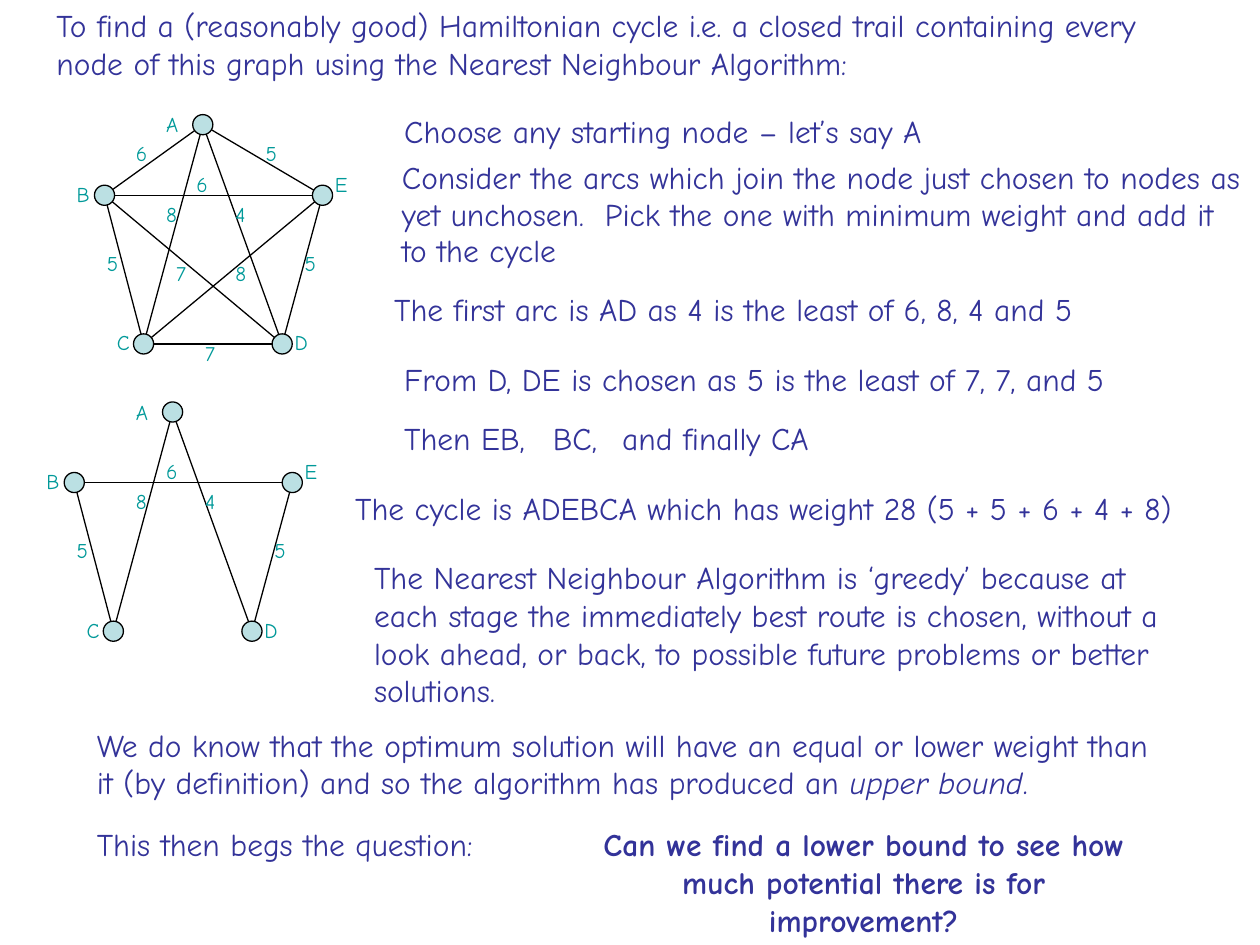
"""Build a slide that finds a Hamiltonian cycle with the Nearest Neighbour Algorithm."""
from pptx import Presentation
from pptx.dml.color import RGBColor
from pptx.enum.shapes import MSO_CONNECTOR, MSO_SHAPE
from pptx.enum.text import MSO_AUTO_SIZE, PP_ALIGN
from pptx.oxml.ns import qn
from pptx.util import Pt
from lxml.etree import SubElement

PX = 9144
FONT = "Comic Neue"
BLACK = RGBColor(0x00, 0x00, 0x00)
INDIGO = RGBColor(0x33, 0x33, 0x99)
TEAL = RGBColor(0x00, 0x99, 0x99)
PALE_BLUE = RGBColor(0xBB, 0xE0, 0xE3)
NODE_SIZE = 16

NODES = {
    "A": (161, 99, 122, 84, 26),
    "B": (83, 155, 51, 139, 31),
    "C": (114, 273, 83, 257, 26),
    "D": (224, 273, 224, 257, 26),
    "E": (256, 155, 256, 131, 26),
}
ARCS = {
    "AB": (6, 98, 107),
    "AC": (8, 122, 155),
    "AD": (4, 177, 155),
    "AE": (5, 201, 107),
    "BC": (5, 75, 194),
    "BD": (7, 130, 202),
    "BE": (6, 146, 131),
    "CD": (7, 153, 265),
    "CE": (8, 177, 202),
    "DE": (5, 232, 194),
}
GRAPHS = [
    (0, 0, list(ARCS)),
    (-24, 228, ["AD", "DE", "BE", "BC", "AC"]),
]
STATEMENTS = [
    ("To find a (reasonably good) Hamiltonian cycle i.e. a closed trail containing every "
     "node of this graph using the Nearest Neighbour Algorithm:", 35, 0, 937, 70),
    ("Choose any starting node – let’s say A", 311, 84, 496, 40),
    ("The first arc is AD as 4 is the least of 6, 8, 4 and 5", 303, 225, 665, 40),
    ("From D, DE is chosen as 5 is the least of 7, 7, and 5", 311, 281, 665, 40),
    ("Then EB,", 311, 328, 134, 40),
    ("BC,", 429, 328, 63, 40),
    ("and finally CA", 484, 328, 220, 40),
    ("The cycle is ADEBCA which has weight 28 (5 + 5 + 6 + 4 + 8)", 272, 383, 728, 40),
    ("The Nearest Neighbour Algorithm is ‘greedy’ because at each stage the immediately "
     "best route is chosen, without a look ahead, or back, to possible future problems or "
     "better solutions.", 287, 438, 661, 130),
    ("This then begs the question:", 67, 650, 874, 40),
]
TABLES = [
    ("Consider the arcs which join the node just chosen to nodes as yet unchosen.  Pick "
     "the one with minimum weight and add it to the cycle", 309, 123, 691, 100),
    ("", 776, 84, 183, 40),
]


def write(frame, text, size=18, color=INDIGO, bold=False, italic=False,
          align=PP_ALIGN.LEFT, before=11.2):
    paragraph = frame.paragraphs[0]
    paragraph.alignment = align
    paragraph.space_before = Pt(before)
    run = paragraph.add_run()
    run.text = text
    run.font.name = FONT
    run.font.size = Pt(size)
    run.font.color.rgb = color
    run.font.bold = bold
    run.font.italic = italic


def add_frame(left, top, width, height):
    box = slide.shapes.add_textbox(left * PX, top * PX, width * PX, height * PX)
    box.text_frame.word_wrap = True
    box.text_frame.auto_size = MSO_AUTO_SIZE.SHAPE_TO_FIT_TEXT
    return box.text_frame


presentation = Presentation()
presentation.slide_width = 1000 * PX
presentation.slide_height = 750 * PX
slide = presentation.slides.add_slide(presentation.slide_layouts[6])

for dx, dy, arc_names in GRAPHS:
    for start, end in arc_names:
        x1, y1 = NODES[start][:2]
        x2, y2 = NODES[end][:2]
        line = slide.shapes.add_connector(
            MSO_CONNECTOR.STRAIGHT,
            (x1 + dx) * PX, (y1 + dy) * PX, (x2 + dx) * PX, (y2 + dy) * PX)
        line.line.color.rgb = BLACK
        line.line.width = Pt(0.75)
        SubElement(line._element.spPr, qn("a:effectLst"))

    for name, (x, y, label_x, label_y, label_width) in NODES.items():
        node = slide.shapes.add_shape(
            MSO_SHAPE.OVAL, (x + dx - NODE_SIZE // 2) * PX, (y + dy - NODE_SIZE // 2) * PX,
            NODE_SIZE * PX, NODE_SIZE * PX)
        node.shadow.inherit = False
        node.fill.solid()
        node.fill.fore_color.rgb = PALE_BLUE
        node.line.color.rgb = BLACK
        node.line.width = Pt(0.75)
        frame = add_frame(label_x + dx, label_y + dy, label_width, 30)
        write(frame, name, size=12, color=TEAL, before=7.5)

    for arc_name in arc_names:
        weight, x, y = ARCS[arc_name]
        frame = add_frame(x + dx, y + dy, 26, 30)
        write(frame, str(weight), size=12, color=TEAL, before=7.5)

for text, *bounds in STATEMENTS:
    write(add_frame(*bounds), text)

bound_frame = add_frame(67, 571, 874, 70)
write(bound_frame, "We do know that the optimum solution will have an equal or lower weight than "
      "it (by definition) and so the algorithm has produced an ")
write(bound_frame, "upper bound", italic=True)
write(bound_frame, ".")

write(add_frame(453, 650, 465, 100),
      "Can we find a lower bound to see how much potential there is for improvement?",
      bold=True, align=PP_ALIGN.CENTER)

for text, *bounds in TABLES:
    table = slide.shapes.add_table(1, 1, *[length * PX for length in bounds]).table
    table.first_row = False
    table.horz_banding = False
    cell = table.cell(0, 0)
    cell.fill.background()
    if text:
        write(cell.text_frame, text, before=4.5)

presentation.save("out.pptx")
